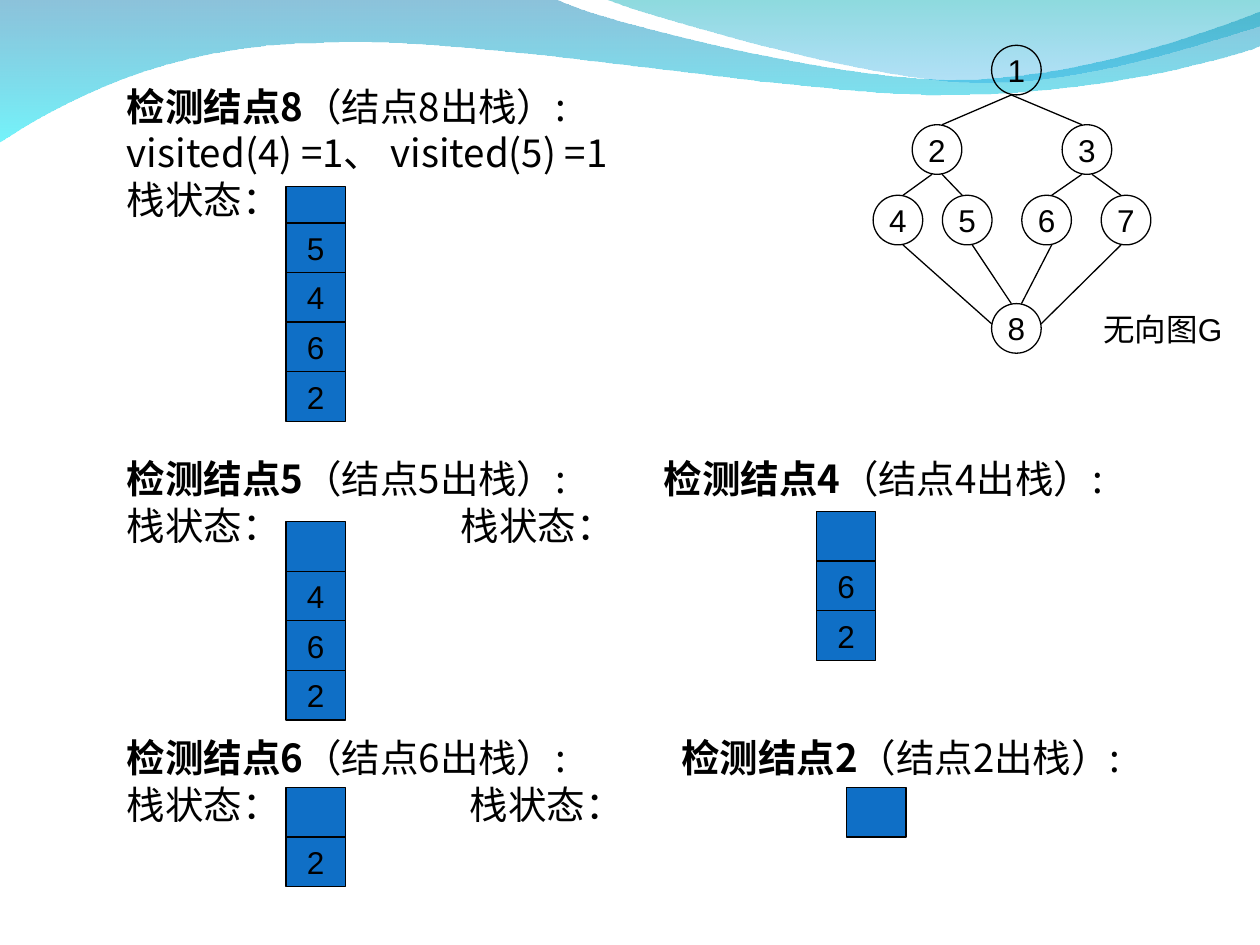
from lxml import etree
from pptx import Presentation
from pptx.dml.color import RGBColor
from pptx.enum.shapes import MSO_CONNECTOR, MSO_SHAPE
from pptx.enum.text import MSO_ANCHOR, PP_ALIGN
from pptx.oxml.ns import qn
from pptx.util import Inches, Pt

LINE = MSO_CONNECTOR.STRAIGHT
OVAL, RECT = MSO_SHAPE.OVAL, MSO_SHAPE.RECTANGLE
MIDDLE, CENTER = MSO_ANCHOR.MIDDLE, PP_ALIGN.CENTER

COLORS = {"ink": "000000", "cell": "0F6FC6", "blue": "0079AF",
          "cyan": "00EBF8", "teal": "00ADB6", "sky": "009BE5"}
CJK, LATIN = "Noto Sans CJK SC", "Arial"
SIZE = 6.3 / 16   # node diameter and cell height
WIDE = 0.47       # cell width
PITCH = 26.57     # points from one body line to the next
LEAD = 5.5        # points before a body line


def color(name):
    return RGBColor.from_string(COLORS[name])


class Page:
    def __init__(self, slide):
        self.shapes = slide.shapes

    def style(self, run, size, font=LATIN, bold=False):
        run.font.size = Pt(size)
        run.font.name = font
        run.font.bold = bold
        run.font.color.rgb = color("ink")
        east = etree.SubElement(run.font._element, qn("a:ea"))
        east.set("typeface", CJK)

    def wave(self, start, parts, stops):
        """A part with one point is a line, with three a cubic curve."""
        form = self.shapes.build_freeform(
            Inches(start[0]), Inches(start[1]), scale=1.0)
        form.add_line_segments(
            [(Inches(x), Inches(y)) for part in parts for x, y in part])
        shape = form.convert_to_shape()
        shape.shadow.inherit = False
        shape.line.fill.background()

        # Turn each run of three points into a curve
        legs = iter(list(shape._element.spPr.iter(qn("a:lnTo"))))
        for part in parts:
            group = [next(legs) for _ in part]
            if len(group) == 3:
                bend = etree.Element(qn("a:cubicBezTo"))
                group[0].addprevious(bend)
                for leg in group:
                    bend.append(leg[0])
                    leg.getparent().remove(leg)

        # Gradient from top to bottom, with alpha
        shape.fill.gradient()
        shape.fill.gradient_angle = 270
        for stop, (name, _) in zip(shape.fill.gradient_stops, stops):
            stop.color.rgb = color(name)
        marks = shape._element.spPr.iter(qn("a:srgbClr"))
        for mark, (_, alpha) in zip(list(marks), stops):
            etree.SubElement(mark, qn("a:alpha")).set("val", str(alpha * 1000))

    def box(self, kind, x, y, width, text, fill=None):
        shape = self.shapes.add_shape(
            kind, Inches(x), Inches(y), Inches(width), Inches(SIZE))
        shape.shadow.inherit = False
        if fill:
            shape.fill.solid()
            shape.fill.fore_color.rgb = color(fill)
        else:
            shape.fill.background()
        shape.line.color.rgb = color("ink")
        shape.line.width = Pt(0.75)
        if text:
            frame = shape.text_frame
            frame.text = text
            frame.word_wrap = False
            frame.vertical_anchor = MIDDLE
            frame.paragraphs[0].alignment = CENTER
            self.style(frame.paragraphs[0].runs[0], 18)

    def stack(self, x, y, values, first=SIZE):
        """An empty top cell, then the values downwards."""
        self.box(RECT, x, y, WIDE, "", "cell")
        for i, value in enumerate(values):
            self.box(RECT, x, y + first + i * SIZE, WIDE, value, "cell")

    def edge(self, x1, y1, x2, y2):
        line = self.shapes.add_connector(
            LINE, Inches(x1), Inches(y1), Inches(x2), Inches(y2))
        line.line.color.rgb = color("ink")
        line.line.width = Pt(0.75)
        etree.SubElement(line._element.spPr, qn("a:effectLst"))

    def frame(self, x, y, width, height):
        frame = self.shapes.add_textbox(
            Inches(x), Inches(y), Inches(width), Inches(height)).text_frame
        frame.word_wrap = True
        return frame

    def label(self, x, y, width, height, text):
        para = self.frame(x, y, width, height).paragraphs[0]
        para.text = text
        self.style(para.runs[0], 18)

    def body(self, x, y, width, height, lines):
        """Each line: skipped lines before it, tab stop, (text, bold) runs."""
        frame = self.frame(x, y, width, height)
        for i, (skip, tab, runs) in enumerate(lines):
            para = frame.add_paragraph() if i else frame.paragraphs[0]
            para.line_spacing = 0.8
            para.space_before = Pt(round(LEAD + skip * PITCH, 2) if i else 0)
            if tab:
                tabs = etree.SubElement(para._p.get_or_add_pPr(), qn("a:tabLst"))
                etree.SubElement(tabs, qn("a:tab"), pos=str(Inches(tab)), algn="l")
            for text, bold in runs:
                run = para.add_run()
                run.text = text
                self.style(run, 22, CJK, bold)


def check(node, end=""):
    return [(f"检测结点{node}", True), (f"（结点{node}出栈）:{end}", False)]


def main():
    prs = Presentation()
    prs.slide_width, prs.slide_height = Inches(10), Inches(7.5)
    page = Page(prs.slides.add_slide(prs.slide_layouts[6]))

    # Waves along the top
    page.wave((0, -0.01), [
        [(4.4, -0.01)],
        [(4.76, 0.17), (6.64, 0.63), (7.58, 0.63)],
        [(8.53, 0.63), (9.58, 0.26), (10, 0.09)],
        [(10.01, 0.36)],
        [(9.83, 0.44), (8.7, 0.76), (7.46, 0.75)],
        [(6.22, 0.75), (3.82, 0.28), (2.57, 0.34)],
        [(1.29, 0.35), (0.46, 0.83), (-0.01, 1.13)],
        [(0, -0.01)]], [("blue", 45), ("cyan", 55)])
    page.wave((4.79, -0.01), [
        [(5.09, 0.11), (6.82, 0.62), (7.69, 0.65)],
        [(8.56, 0.69), (9.61, 0.32), (10, 0.21)],
        [(10, 0)],
        [(4.79, -0.01)]], [("teal", 45), ("sky", 30)])

    # Steps of the search
    state = "栈状态："
    pair = [(f"{state}\t{state}", False)]
    page.body(0.91, 0.68, 8.74, 6.03, [
        (0, None, check(8)),
        (0, None, [("visited(4) =1、 visited(5) =1", False)]),
        (0, None, [(state, False)]),
        (5, 4.26, check(5, "\t") + check(4)),
        (0, 2.65, pair),
        (4, 4.4, check(6, "\t") + check(2)),
        (0, 2.72, pair)])

    # Graph nodes: left and top
    nodes = {1: (7.87, 0.36), 2: (7.24, 0.99), 3: (8.43, 0.99),
             4: (6.93, 1.55), 5: (7.48, 1.55), 6: (8.11, 1.55),
             7: (8.74, 1.55), 8: (7.87, 2.41)}
    for name, (x, y) in nodes.items():
        page.box(OVAL, x, y, SIZE, str(name))

    # Edges: upper and lower node, shift of each end from the middle, drop
    off, half, drop = 0.04, SIZE / 2, 0.16
    edges = [(1, 2, -off, off, 0), (1, 3, -off, -off, 0),
             (2, 4, -off, off, 0), (2, 5, off, -off, 0),
             (3, 6, -off, off, 0), (3, 7, off, -off, 0),
             (4, 8, off, -half, drop), (5, 8, off, -off, 0),
             (6, 8, off, off, 0), (7, 8, -off, half, drop)]
    for up, low, dx1, dx2, dy in edges:
        (x1, y1), (x2, y2) = nodes[up], nodes[low]
        page.edge(x1 + half + dx1, y1 + SIZE, x2 + half + dx2, y2 + dy)
    page.label(8.66, 2.41, 1.34, 0.4, "无向图G")

    # Stack states
    page.stack(2.27, 1.48, "5462", first=0.29)
    page.stack(2.27, 4.14, "462")
    page.stack(6.48, 4.06, "62")
    page.stack(2.27, 6.25, "2")
    page.stack(6.72, 6.25, "")

    prs.save("out.pptx")


if __name__ == "__main__":
    main()
